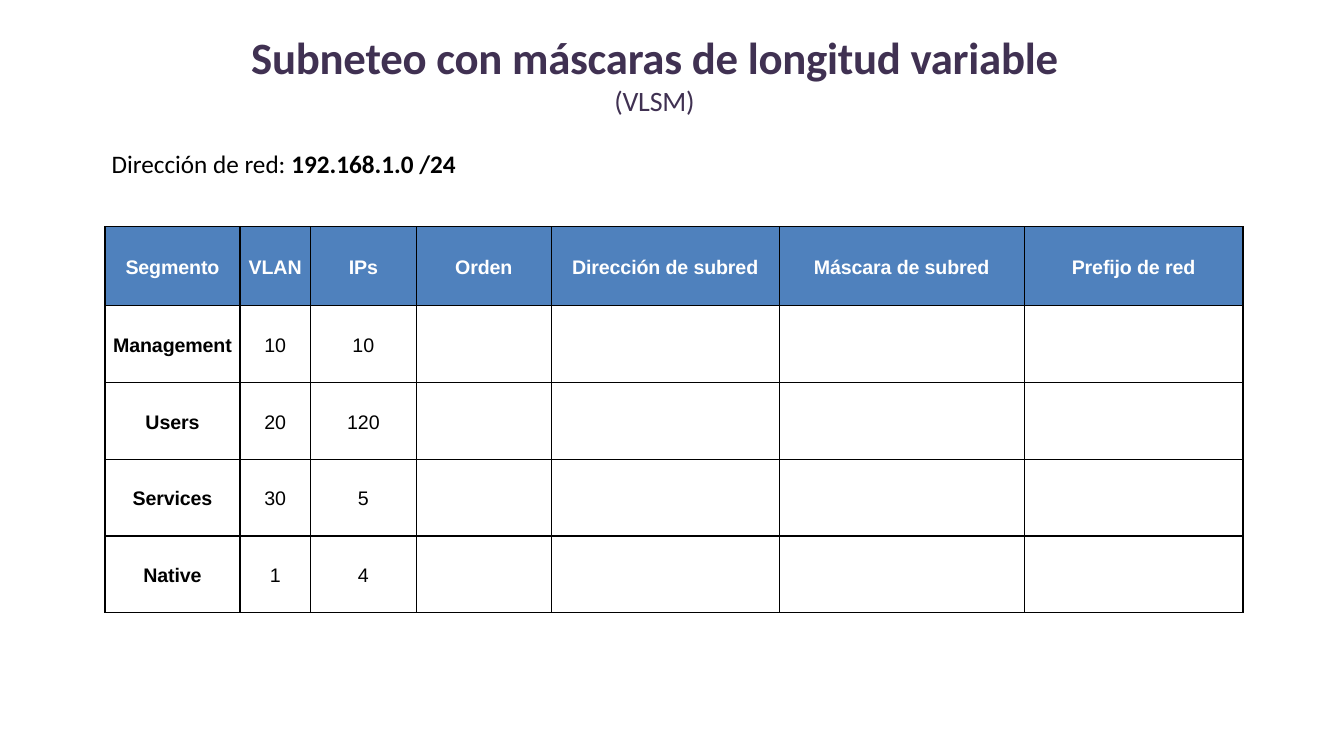
from dataclasses import dataclass

from lxml import etree
from pptx import Presentation
from pptx.dml.color import RGBColor
from pptx.enum.text import MSO_ANCHOR, PP_ALIGN
from pptx.oxml.ns import qn
from pptx.util import Pt

LEFT, CENTER = PP_ALIGN.LEFT, PP_ALIGN.CENTER
MIDDLE = MSO_ANCHOR.MIDDLE


@dataclass(frozen=True)
class Theme:
    title: str = "403152"
    ink: str = "000000"
    head: str = "4F81BD"
    light: str = "FFFFFF"
    sans: str = "Calibri"
    grid: str = "Arial"
    big: int = 32
    sub: int = 20
    body: int = 18
    small: int = 14
    pitch: int = 18
    rule: int = 1


class Page:
    def __init__(self, slide, theme):
        self.slide = slide
        self.theme = theme

    def style(self, run, face, size, color, bold, track):
        font = run.font
        font.name, font.size, font.bold = face, Pt(size), bold
        font.color.rgb = RGBColor.from_string(color)
        if track:
            run._r.get_or_add_rPr().set("spc", str(track))

    def text(self, box, parts, color, align=LEFT, inset=(0, 0), wrap=True, track=0):
        frame = self.slide.shapes.add_textbox(*map(Pt, box)).text_frame
        frame.word_wrap = wrap
        frame.margin_left = frame.margin_right = Pt(inset[0])
        frame.margin_top = frame.margin_bottom = Pt(inset[1])
        line = frame.paragraphs[0]
        line.alignment = align
        for words, size, bold in parts:
            run = line.add_run()
            run.text = words
            self.style(run, self.theme.sans, size, color, bold, track)

    def border(self, cell):
        props = cell._tc.get_or_add_tcPr()
        for side in ("lnL", "lnR", "lnT", "lnB"):
            edge = etree.SubElement(props, qn(f"a:{side}"), w=str(Pt(self.theme.rule)))
            fill = etree.SubElement(edge, qn("a:solidFill"))
            etree.SubElement(fill, qn("a:srgbClr"), val=self.theme.ink)

    def cell(self, cell, words, head, bold):
        theme = self.theme
        self.border(cell)
        if head:
            cell.fill.solid()
            cell.fill.fore_color.rgb = RGBColor.from_string(theme.head)
        else:
            cell.fill.background()
        cell.vertical_anchor = MIDDLE
        cell.margin_left = cell.margin_right = 0
        cell.margin_top = cell.margin_bottom = 0
        cell.text_frame.text = words
        line = cell.text_frame.paragraphs[0]
        line.alignment = CENTER
        line.line_spacing = Pt(theme.pitch)
        color = theme.light if head else theme.ink
        for run in line.runs:
            self.style(run, theme.grid, theme.small, color, bold, -10 if bold else 0)

    def table(self, left, top, widths, heights, rows):
        size = sum(widths), sum(heights)
        frame = self.slide.shapes.add_table(
            len(heights), len(widths), *map(Pt, (left, top, *size)))
        table = frame.table
        table.first_row = table.horz_banding = False
        for column, width in zip(table.columns, widths):
            column.width = Pt(width)
        for row, height in zip(table.rows, heights):
            row.height = Pt(height)
        for r, words in enumerate(rows):
            for c in range(len(widths)):
                label = words[c] if c < len(words) else ""
                self.cell(table.cell(r, c), label, r == 0, r == 0 or c == 0)


def main():
    deck = Presentation()
    deck.slide_width, deck.slide_height = Pt(960), Pt(540)
    theme = Theme()
    page = Page(deck.slides.add_slide(deck.slide_layouts[6]), theme)

    page.text((152.5, 21, 630, 63), [
        ("Subneteo con máscaras de longitud variable ", theme.big, True),
        ("(VLSM)", theme.sub, False),
    ], theme.title, align=CENTER, track=-20)

    page.table(75, 162, [96.4, 50.4, 75.6, 96.4, 162.8, 175, 156.4], [56.2] + [54.9] * 4, [
        ("Segmento", "VLAN", "IPs", "Orden", "Dirección de subred",
         "Máscara de subred", "Prefijo de red"),
        ("Management", "10", "10"),
        ("Users", "20", "120"),
        ("Services", "30", "5"),
        ("Native", "1", "4"),
    ])

    page.text((72.7, 102.4, 261.4, 29), [
        ("Dirección de red: ", theme.body, False),
        ("192.168.1.0 /24", theme.body, True),
    ], theme.ink, inset=(7.2, 3.6), wrap=False)

    deck.save("out.pptx")


if __name__ == "__main__":
    main()
